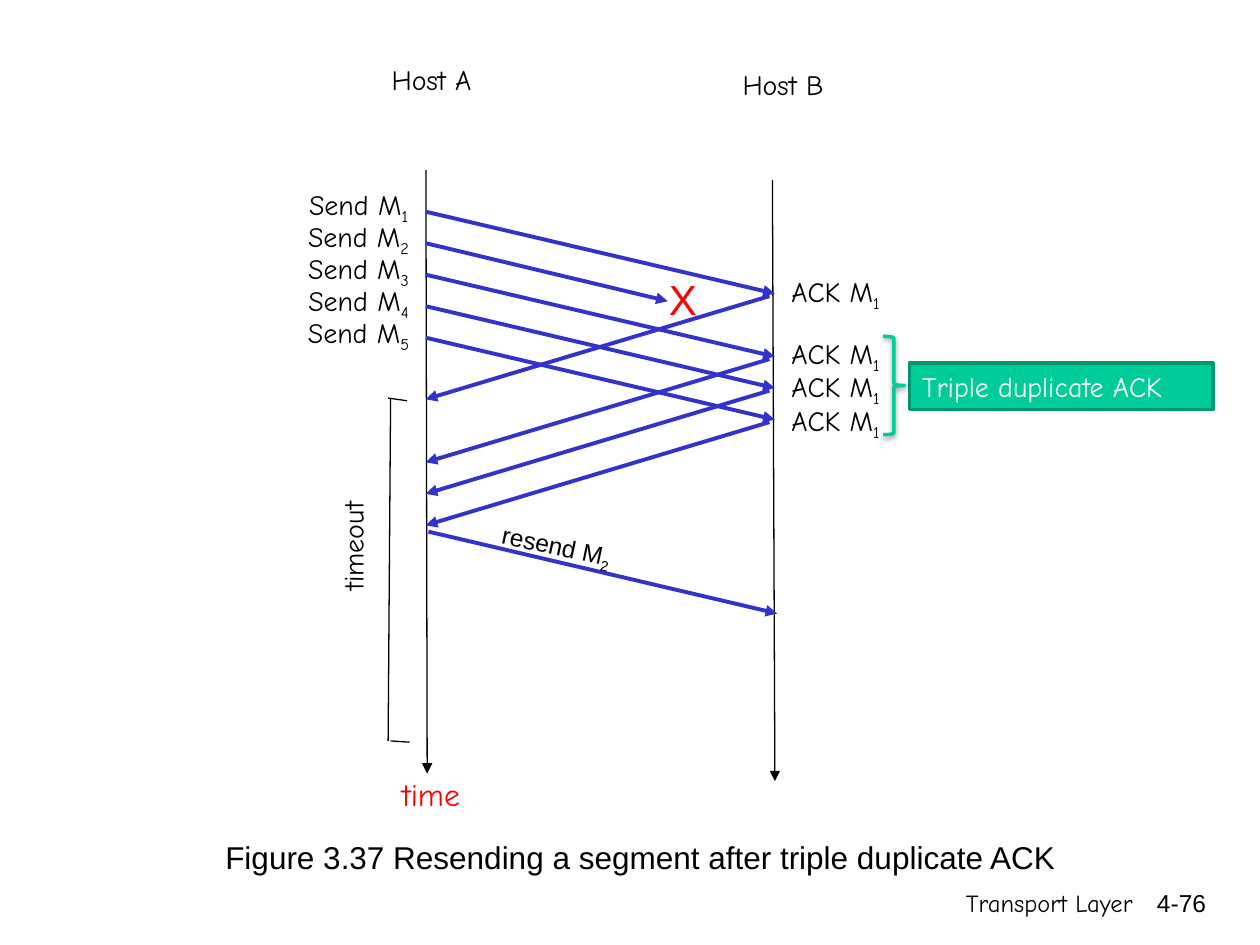
from lxml.etree import SubElement
from pptx import Presentation
from pptx.dml.color import RGBColor
from pptx.enum.shapes import MSO_CONNECTOR as Link, MSO_SHAPE as Shape
from pptx.enum.text import MSO_ANCHOR as Anchor, PP_ALIGN as Align
from pptx.oxml.ns import qn
from pptx.util import Pt

HEX = {"black": "000000", "red": "FF0000", "blue": "3333CC",
       "green": "00CC99", "edge": "009771", "white": "FFFFFF"}
INK = {name: RGBColor.from_string(code) for name, code in HEX.items()}
COMIC, ARIAL = "Comic Neue", "Arial"

deck = Presentation()
deck.slide_width, deck.slide_height = Pt(720), Pt(540)
slide = deck.slides.add_slide(deck.slide_layouts[6])
shapes = slide.shapes


def label(box, text, size=16, face=COMIC, ink="black", align=Align.CENTER,
          sub="", wrap=True, turn=0, shape=None):
    """Write text, with an optional subscript, in a new box or a given shape."""
    shape = shape or shapes.add_textbox(*map(Pt, box))
    shape.rotation = turn
    frame = shape.text_frame
    frame.word_wrap = wrap
    frame.vertical_anchor = Anchor.TOP
    para = frame.paragraphs[0]
    para.alignment = align
    font = para.font
    font.size, font.name, font.color.rgb = Pt(size), face, INK[ink]
    para.add_run().text = text
    if sub:
        low = para.add_run()
        low.text = sub
        low._r.get_or_add_rPr().set("baseline", "-25000")


def line(x1, y1, x2, y2, ink="black", width=0.75, arrow=True):
    link = shapes.add_connector(Link.STRAIGHT, *map(Pt, (x1, y1, x2, y2)))
    link.line.color.rgb = INK[ink]
    link.line.width = Pt(width)
    if arrow:
        SubElement(link.line._get_or_add_ln(), qn("a:tailEnd"), type="triangle")
    SubElement(link._element.spPr, qn("a:effectLst"))


# Footer and caption
label((426.2, 504, 228.2, 36), "Transport Layer", 14, align=Align.RIGHT)
label((643, 504, 53.3, 36), "4-76", 14, ARIAL, align=Align.RIGHT)
label((121.7, 475.2, 489.6, 28.8),
      "Figure 3.37 Resending a segment after triple duplicate ACK",
      18, ARIAL, align=Align.LEFT, wrap=False)

# Hosts and their time lines
label((213.1, 32.4, 67, 26.6), "Host A", wrap=False)
label((414.7, 35.3, 65.5, 26.6), "Host B", wrap=False)
line(243.4, 97.2, 244.1, 442.1)
line(441.4, 103, 442.8, 446.4)
label((220.3, 439.2, 51.8, 28.8), "time", 18, ink="red", wrap=False)

# Segments from A, the second one lost, and the ACKs for the others
acks = {0: 153.4, 2: 188.6, 3: 207.4, 4: 226.8}
for i in range(5):
    label((164.9, 103.7 + 18.2 * i, 79.9, 26.6), "Send M", sub=str(i + 1))
    y = 121 + 18 * i
    if i in acks:
        line(243.4, y, 442.8, y + 46.8, "blue", 2.25)
        line(439.7, y + 48.2, 243.2, y + 107.2, "blue", 2.25)
        label((437.8, acks[i], 79.2, 26.6), "ACK M", sub="1")
    else:
        line(243.4, y, 381.6, y + 33.1, "blue", 2.25)
label((375.1, 152.6, 22.3, 36), "X", 24, ARIAL, "red")

# Resent segment
line(244.8, 303.8, 444.2, 350.6, "blue", 2.25)
label((278.6, 308.2, 159.8, 23.8), "resend M", 14, ARIAL, align=Align.LEFT,
      sub="2", turn=11.9)

# Timeout bracket
line(223.2, 227.5, 221.8, 423.4, arrow=False)
line(221.8, 227.5, 232.6, 229, arrow=False)
line(223.2, 423.4, 234, 424.1, arrow=False)
label((165.6, 298.8, 72, 26.6), "timeout", wrap=False, turn=270)

# Triple duplicate mark
brace = shapes.add_shape(Shape.RIGHT_BRACE, Pt(504.7), Pt(192.2), Pt(12.2), Pt(56.2))
brace.fill.background()
brace.line.color.rgb = INK["green"]
brace.line.width = Pt(2)
effects = SubElement(brace._element.spPr, qn("a:effectLst"))
shade = SubElement(effects, qn("a:outerShdw"), blurRad=str(Pt(3.1)),
                   dist=str(Pt(1.6)), dir="5400000", rotWithShape="0")
tone = SubElement(shade, qn("a:srgbClr"), val=HEX["black"])
SubElement(tone, qn("a:alpha"), val="38000")

note = shapes.add_shape(Shape.RECTANGLE, Pt(519.8), Pt(207.4), Pt(173.5), Pt(26.6))
note.shadow.inherit = False
note.fill.solid()
note.fill.fore_color.rgb = INK["green"]
note.line.color.rgb = INK["edge"]
note.line.width = Pt(2)
label(None, "Triple duplicate ACK", ink="white", align=Align.LEFT, shape=note)

deck.save("out.pptx")
